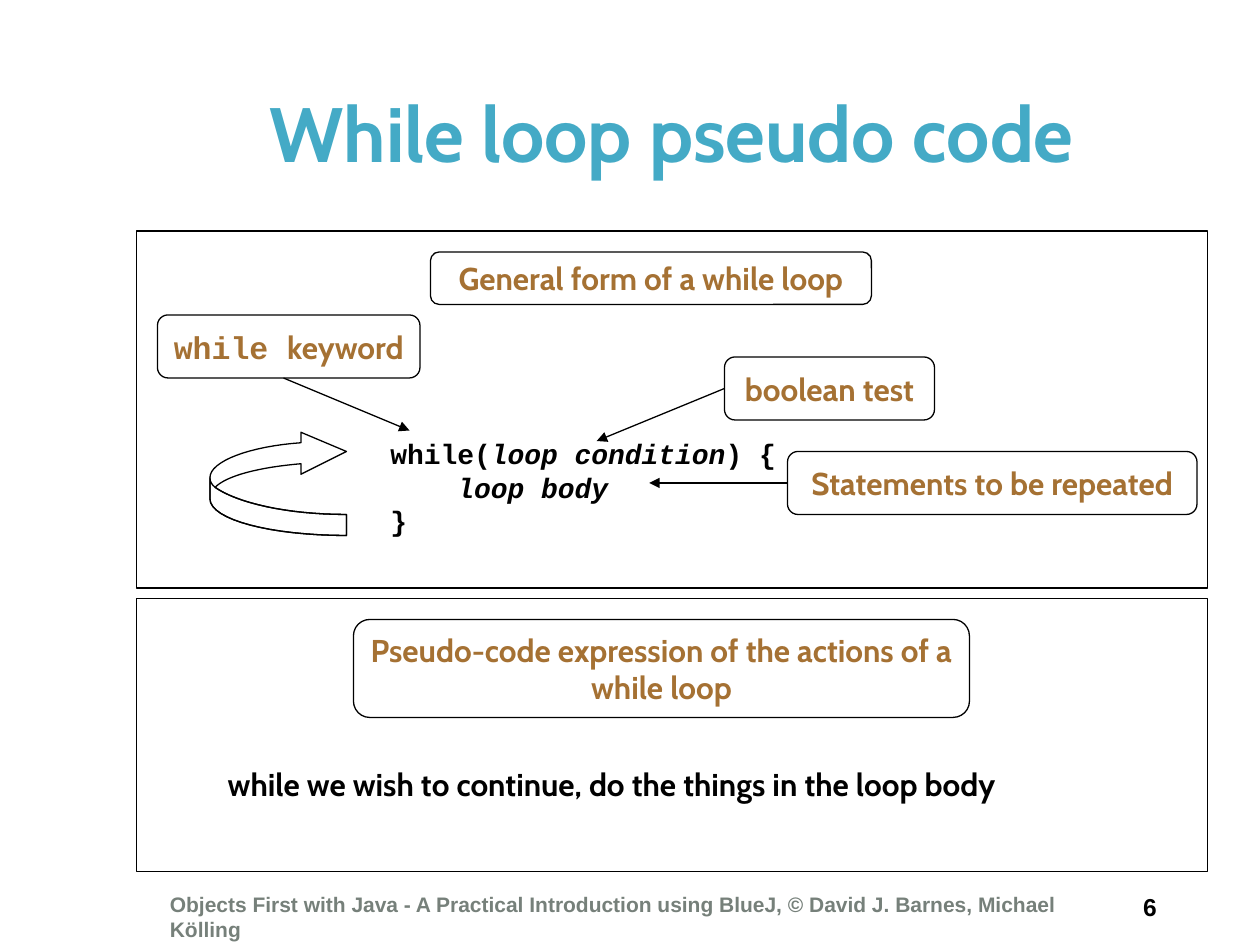
"""Build the slide on while loop pseudo code."""
from lxml import etree
from pptx import Presentation
from pptx.dml.color import RGBColor
from pptx.enum.shapes import MSO_CONNECTOR, MSO_SHAPE
from pptx.enum.text import MSO_ANCHOR, PP_ALIGN
from pptx.oxml.ns import qn
from pptx.util import Pt

RECT, ROUND = MSO_SHAPE.RECTANGLE, MSO_SHAPE.ROUNDED_RECTANGLE
STRAIGHT = MSO_CONNECTOR.STRAIGHT
LEFT, CENTER, RIGHT = PP_ALIGN.LEFT, PP_ALIGN.CENTER, PP_ALIGN.RIGHT
TOP, MIDDLE = MSO_ANCHOR.TOP, MSO_ANCHOR.MIDDLE
COLORS = {"title": "44AAC6", "label": "A57133", "text": "000000", "footer": "76807A"}
LABEL = ("Cabin", 18, "label")
CODE = ("Courier New", 16, "text")


def write(sp, paragraphs, align=LEFT, anchor=TOP, wrap=True):
    tf = sp.text_frame
    tf.word_wrap = wrap
    tf.vertical_anchor = anchor
    for i, runs in enumerate(paragraphs):
        p = tf.add_paragraph() if i else tf.paragraphs[0]
        p.alignment = align
        for text, (font, size, color), italic in runs:
            r = p.add_run()
            r.text = text
            r.font.name = font
            r.font.size = Pt(size)
            r.font.bold = True
            r.font.italic = italic
            r.font.color.rgb = RGBColor.from_string(COLORS[color])


def curve(a, b, c, d, steps=16):
    points = []
    for i in range(1, steps + 1):
        t = i / steps
        u = 1 - t
        weights = (u**3, 3 * u * u * t, 3 * u * t * t, t**3)
        points.append(tuple(sum(w * q[k] for w, q in zip(weights, (a, b, c, d)))
                            for k in (0, 1)))
    return points


prs = Presentation()
prs.slide_width, prs.slide_height = Pt(720), Pt(540)
s = prs.slides.add_slide(prs.slide_layouts[6])
black = RGBColor.from_string(COLORS["text"])

texts = [
    ((630, 506, 42, 24), [[("6 ", ("Arial", 14, "text"), False)]], RIGHT, TOP, True),
    ((78, 30, 612, 90), [[("While loop pseudo code", ("Cabin", 44, "title"), False)]],
     CENTER, MIDDLE, True),
    ((90, 506, 546, 24),
     [[("Objects First with Java - A Practical Introduction using BlueJ, "
        "© David J. Barnes, Michael Kölling", ("Arial", 12, "footer"), False)]],
     LEFT, TOP, True),
    ((216, 246, 252, 65),
     [[("while(", CODE, False), ("loop condition", CODE, True), (") {", CODE, False)],
      [("    ", CODE, False), ("loop body", CODE, True)],
      [("}", CODE, False)]], LEFT, TOP, True),
    ((123, 433.5, 527, 29),
     [[("while we wish to continue, do the things in the loop body",
        ("Cabin", 18, "text"), False)]], LEFT, TOP, False),
]
for box, paragraphs, align, anchor, wrap in texts:
    sp = s.shapes.add_textbox(*map(Pt, box))
    write(sp, paragraphs, align, anchor, wrap)

outlined = []
callouts = [
    ((414, 204, 120, 36), [("boolean test", LABEL, False)], False),
    ((90, 180, 150, 36),
     [("while ", ("Courier New", 18, "label"), False), ("keyword", LABEL, False)], False),
    ((450, 258, 234, 36), [("Statements to be repeated", LABEL, False)], False),
    ((202, 354, 352, 56), [("Pseudo-code expression of the actions of a while loop",
                            LABEL, False)], True),
    ((246, 144, 252, 30), [("General form of a while loop", LABEL, False)], False),
]
for box, runs, wrap in callouts:
    sp = s.shapes.add_shape(ROUND, *map(Pt, box))
    write(sp, [runs], CENTER, MIDDLE, wrap)
    outlined.append(sp)

for top, height in ((132, 204), (342, 156)):
    outlined.append(s.shapes.add_shape(RECT, Pt(78), Pt(top), Pt(612), Pt(height)))

tail_top, tail_bottom = (198, 294), (198, 306)
left_low, left_high, fold = (120, 285), (120, 273), (123, 278.5)
outer = curve(tail_bottom, (155, 306), (120, 297), left_low) + [left_high]
inner = curve(fold, (135, 287), (163, 294), tail_top)
head = [(172, 247), (198, 258), (172, 271), (172, 265)]
upper = curve(left_high, (120, 263.5), (143, 255), (172, 253))
back = curve(head[-1], (148, 267), (129, 272), fold)
edge = curve(left_high, (120, 275), (121, 277), fold, 4)
fb = s.shapes.build_freeform(*map(Pt, tail_bottom))
fb.add_line_segments([(Pt(x), Pt(y)) for x, y in outer + upper + head + back + inner])
fb.move_to(*map(Pt, tail_bottom))
fb.add_line_segments([(Pt(x), Pt(y)) for x, y in outer + edge + inner])
outlined.append(fb.convert_to_shape())

for sp in outlined:
    sp.shadow.inherit = False
    sp.fill.background()
    sp.line.color.rgb = black
    sp.line.width = Pt(0.75)

for ends in ((414, 222, 341, 252), (162, 216, 234, 246), (450, 276, 371, 276)):
    arrow = s.shapes.add_connector(STRAIGHT, *map(Pt, ends))
    arrow.line.color.rgb = black
    arrow.line.width = Pt(0.75)
    etree.SubElement(arrow.line._get_or_add_ln(), qn("a:tailEnd"), type="triangle")
    etree.SubElement(arrow._element.spPr, qn("a:effectLst"))

prs.save("out.pptx")
